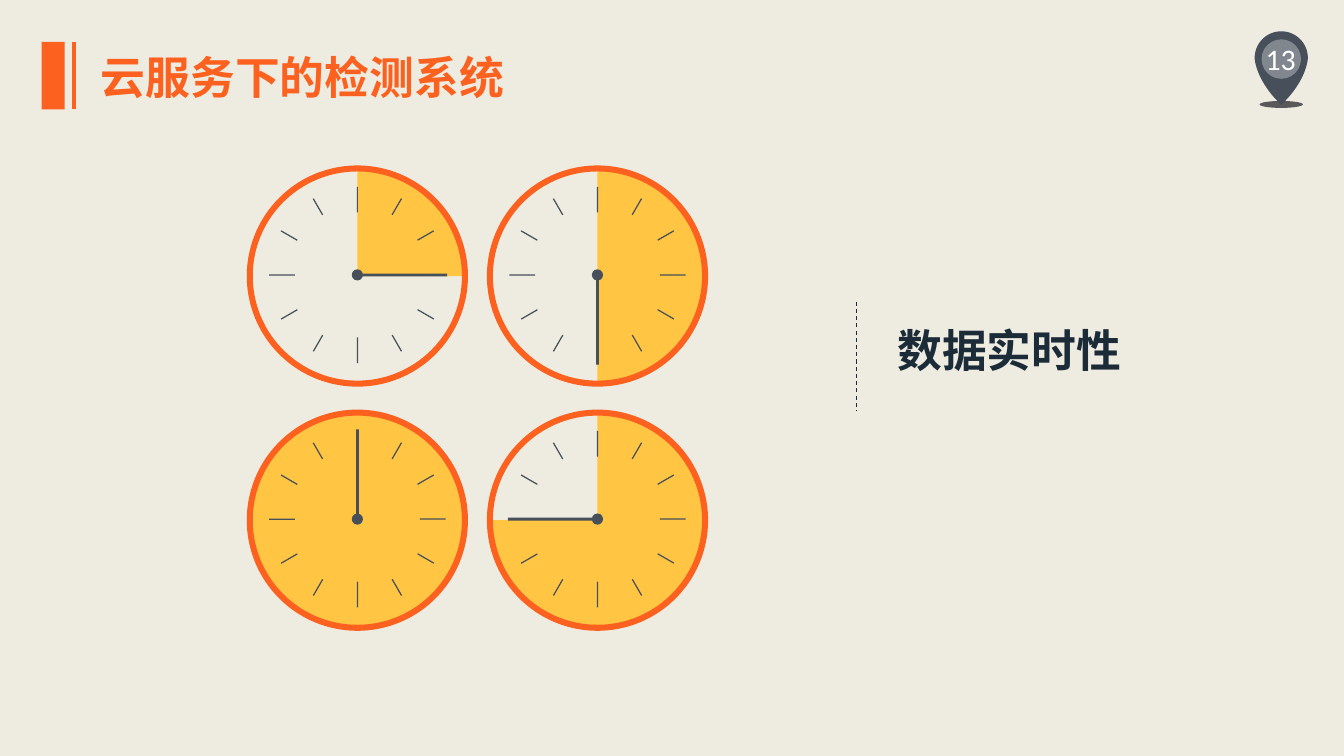
from math import cos, pi, radians, sin

from lxml import etree
from pptx import Presentation
from pptx.chart.data import CategoryChartData
from pptx.dml.color import RGBColor
from pptx.enum.chart import XL_CHART_TYPE as CHART
from pptx.enum.dml import MSO_LINE as DASH
from pptx.enum.shapes import MSO_CONNECTOR as LINE, MSO_SHAPE as SHAPE
from pptx.enum.text import MSO_ANCHOR as ANCHOR, PP_ALIGN as ALIGN
from pptx.oxml import parse_xml
from pptx.oxml.ns import qn
from pptx.util import Pt

# Content: text, left, top, width, height, size, font, colour, bold
BACK, ORANGE, AMBER, SLATE, NAVY = "EEECE1", "FC611F", "FFC543", "464F5A", "1C2B38"
CJK = "Noto Sans CJK SC"
TEXTS = [
    ("云服务下的检测系统", 63.4, 31.7, 305.3, 46, 32, CJK, ORANGE, True),
    ("数据实时性", 632.9, 226.8, 176.4, 46, 32, CJK, NAVY, True),
    ("13", 884.8, 27.4, 60, 28.8, 21.3, "Calibri", "FFFFFF", False),
]
# Quarters of the hour shown by each clock: column, row, quarters
CLOCKS = [(0, 0, 1), (1, 0, 2), (1, 1, 3), (0, 1, 4)]

# Clock measures
FIRST_X, FIRST_Y, STEP_X, STEP_Y = 255.3, 197.2, 171.5, 174.4
RING, RIM, HUB, HAND = 158, 4.3, 8, 64
PIE_FRAME, PIE_SHARE = 173.5, 0.89
TICK_END, TICK_LONG, TICK_SHORT = 63, 18.4, 13.4

prs = Presentation()
prs.slide_width, prs.slide_height = Pt(960), Pt(540)
s = prs.slides.add_slide(prs.slide_layouts[6])


def rgb(value):
    return RGBColor.from_string(value)


def paint(sp, color):
    sp.shadow.inherit = False
    sp.fill.solid()
    sp.fill.fore_color.rgb = rgb(color)
    sp.line.fill.background()
    return sp


def add_shape(parent, kind, x, y, w, h, color):
    return paint(parent.add_shape(kind, Pt(x), Pt(y), Pt(w), Pt(h)), color)


def add_centred(parent, kind, cx, cy, w, h, color):
    return add_shape(parent, kind, cx - w / 2, cy - h / 2, w, h, color)


def add_spoke(parent, cx, cy, angle, inner, outer, width):
    """A thin bar along a radius; angle runs clockwise from twelve."""
    mid, a = (inner + outer) / 2, radians(angle)
    bar = add_centred(parent, SHAPE.RECTANGLE, cx + mid * sin(a),
                      cy - mid * cos(a), width, outer - inner, SLATE)
    bar.rotation = angle % 360


def add_line(x, y1, y2, color, width, dash=None):
    c = s.shapes.add_connector(LINE.STRAIGHT, Pt(x), Pt(y1), Pt(x), Pt(y2))
    c.line.color.rgb, c.line.width = rgb(color), Pt(width)
    if dash:
        c.line.dash_style = dash
    etree.SubElement(c._element.spPr, qn("a:effectLst"))


def add_text(text, x, y, w, h, size, font, color, bold):
    tf = s.shapes.add_textbox(Pt(x), Pt(y), Pt(w), Pt(h)).text_frame
    tf.word_wrap = False
    tf.vertical_anchor = ANCHOR.MIDDLE
    p = tf.paragraphs[0]
    p.alignment = ALIGN.CENTER
    r = p.add_run()
    r.text = text
    r.font.size, r.font.name, r.font.bold = Pt(size), font, bold
    r.font.color.rgb = rgb(color)
    etree.SubElement(r._r.get_or_add_rPr(), qn("a:ea"), typeface=font)


def add_pie(cx, cy, share):
    data = CategoryChartData()
    data.categories = ["1", "2"]
    data.add_series("Series 1", [share, 100 - share])
    half = PIE_FRAME / 2
    chart = s.shapes.add_chart(CHART.PIE, Pt(cx - half), Pt(cy - half),
                               Pt(PIE_FRAME), Pt(PIE_FRAME), data).chart
    chart.has_legend = chart.has_title = False
    chart.font.size, chart.font.name = Pt(18), "Calibri"
    chart.font.color.rgb = rgb("000000")
    plot = chart.plots[0]
    plot.vary_by_categories = False
    done, rest = (plot.series[0].points[i].format for i in range(2))
    done.fill.solid()
    done.fill.fore_color.rgb = rgb(AMBER)
    rest.fill.background()
    for part in (done, rest):
        part.line.fill.background()

    # Fixed plot size and clear chart background
    area = chart._chartSpace.chart.plotArea
    for old in area.findall(qn("c:layout")):
        area.remove(old)
    layout = etree.Element(qn("c:layout"))
    manual = etree.SubElement(layout, qn("c:manualLayout"))
    edge = (1 - PIE_SHARE) / 2
    for tag, val in [("layoutTarget", "inner"), ("xMode", "edge"), ("yMode", "edge"),
                     ("x", edge), ("y", edge), ("w", PIE_SHARE), ("h", PIE_SHARE)]:
        etree.SubElement(manual, qn("c:" + tag), val=str(val))
    area.insert(0, layout)
    chart._chartSpace.chart.addnext(parse_xml(
        '<c:spPr xmlns:c="http://schemas.openxmlformats.org/drawingml/2006/chart" '
        'xmlns:a="http://schemas.openxmlformats.org/drawingml/2006/main">'
        '<a:noFill/><a:ln><a:noFill/></a:ln></c:spPr>'))


def add_clock(cx, cy, quarters):
    add_pie(cx, cy, 25 * quarters)
    g = s.shapes.add_group_shape().shapes
    ring = add_centred(g, SHAPE.DONUT, cx, cy, RING, RING, ORANGE)
    ring.adjustments[0] = RIM / RING
    cy -= 0.8
    for hour in range(12):
        length = TICK_SHORT if hour % 3 else TICK_LONG
        add_spoke(g, cx, cy, 30 * hour, TICK_END - length, TICK_END, 0.9)
    add_spoke(g, cx, cy, 90 * quarters, 0, HAND, 2)
    add_centred(g, SHAPE.OVAL, cx, cy, HUB, HUB, SLATE)


def add_pin(cx, cy, radius, tip):
    """Page marker: a round head whose sides curve down to a tip."""
    g = s.shapes.add_group_shape().shapes
    add_centred(g, SHAPE.OVAL, cx, 74.6, 31, 5, "595959")
    head = [(cx - radius * cos(pi * i / 40), cy - radius * sin(pi * i / 40))
            for i in range(41)]
    side = []
    for t in (i / 20 for i in range(1, 21)):
        u = 1 - t
        dx = radius * (u ** 3 + 3 * u * u * t) + 17.5 * 3 * u * t * t
        dy = 1.8 * 3 * u * u * t + 16.9 * 3 * u * t * t + (tip - cy) * t ** 3
        side.append((dx, cy + dy))
    outline = head + [(cx + dx, y) for dx, y in side]
    outline += [(cx - dx, y) for dx, y in reversed(side[:-1])]
    points = [(Pt(x), Pt(y)) for x, y in outline]
    fb = g.build_freeform(*points[0])
    fb.add_line_segments(points[1:], close=True)
    paint(fb.convert_to_shape(), SLATE)
    disc = add_centred(g, SHAPE.OVAL, cx, 42.2, 28.2, 28.2, "FFFFFF")
    clr = disc._element.spPr.find(qn("a:solidFill"))[0]
    etree.SubElement(clr, qn("a:alpha"), val="32000")


# Background and page marker
s.background.fill.solid()
s.background.fill.fore_color.rgb = rgb(BACK)
add_pin(915.2, 41.4, 19, 74.9)

# Clocks
for col, row, quarters in CLOCKS:
    add_clock(FIRST_X + col * STEP_X, FIRST_Y + row * STEP_Y, quarters)

# Title bars, divider and text
add_shape(s.shapes, SHAPE.RECTANGLE, 29.7, 30, 16.4, 48.2, ORANGE)
add_line(52.8, 30, 78, ORANGE, 3)
add_line(611.8, 215.5, 293.3, NAVY, 0.75, DASH.DASH)
for item in TEXTS:
    add_text(*item)

prs.save("out.pptx")
